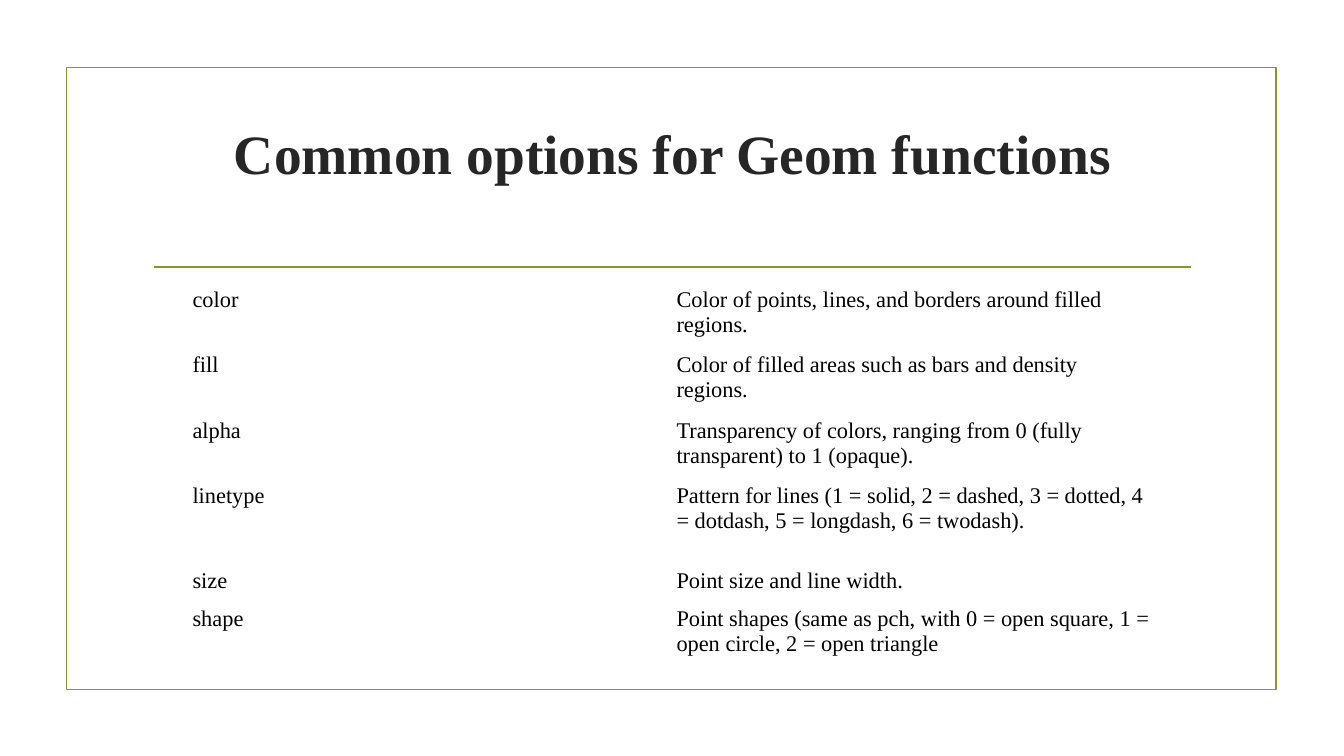
from pptx import Presentation
from pptx.dml.color import RGBColor
from pptx.enum.shapes import MSO_CONNECTOR, MSO_SHAPE
from pptx.enum.text import MSO_ANCHOR, PP_ALIGN
from pptx.oxml.ns import qn
from pptx.util import Inches, Pt
from lxml import etree

RECTANGLE = MSO_SHAPE.RECTANGLE
STRAIGHT = MSO_CONNECTOR.STRAIGHT
TOP = MSO_ANCHOR.TOP
CENTER = PP_ALIGN.CENTER
LEFT = PP_ALIGN.LEFT

# Content
TITLE = "Common options for Geom functions"
# option, description, row height in inches
OPTIONS = [
    ("color", "Color of points, lines, and borders around filled regions.", 0.65),
    ("fill", "Color of filled areas such as bars and density regions.", 0.65),
    ("alpha", "Transparency of colors, ranging from 0 (fully transparent) to 1 (opaque).", 0.65),
    ("linetype", "Pattern for lines (1 = solid, 2 = dashed, 3 = dotted, 4 = dotdash, "
                 "5 = longdash, 6 = twodash).", 0.84),
    ("size", "Point size and line width.", 0.38),
    ("shape", "Point shapes (same as pch, with 0 = open square, 1 = open circle, "
              "2 = open triangle", 0.65),
]

THEME = {
    "font": "Times New Roman",
    "accent": RGBColor(0x83, 0x99, 0x2A),
    "title": RGBColor(0x26, 0x26, 0x26),
    "body": RGBColor(0, 0, 0),
    "title_size": Pt(39.6),
    "body_size": Pt(16),
    "line_width": Pt(1.25),
}
COLUMN_WIDTH = 4.8
CELL_MARGIN = Inches(0.05)


def write(frame, text, size, color, align=LEFT, bold=False):
    paragraph = frame.paragraphs[0]
    paragraph.alignment = align
    run = paragraph.add_run()
    run.text = text
    run.font.name = THEME["font"]
    run.font.size = size
    run.font.bold = bold
    run.font.color.rgb = color


def style_line(line):
    line.color.rgb = THEME["accent"]
    line.width = THEME["line_width"]


presentation = Presentation()
presentation.slide_width = Inches(13.33)
presentation.slide_height = Inches(7.5)
slide = presentation.slides.add_slide(presentation.slide_layouts[6])

# Border and divider
border = slide.shapes.add_shape(RECTANGLE, Inches(0.66), Inches(0.67), Inches(12), Inches(6.17))
border.shadow.inherit = False
border.fill.background()
style_line(border.line)

divider = slide.shapes.add_connector(STRAIGHT, Inches(1.53), Inches(2.65), Inches(11.81), Inches(2.65))
style_line(divider.line)
etree.SubElement(divider._element.spPr, qn("a:effectLst"))

# Title
title = slide.shapes.add_textbox(Inches(1.42), Inches(1.07), Inches(10.5), Inches(1.43))
title.text_frame.word_wrap = True
title.text_frame.vertical_anchor = TOP
title.text_frame.margin_top = Inches(0.11)
write(title.text_frame, TITLE, THEME["title_size"], THEME["title"], CENTER, True)

# Options table
table_height = sum(height for _, _, height in OPTIONS)
table = slide.shapes.add_table(len(OPTIONS), 2, Inches(1.86), Inches(2.8),
                               Inches(2 * COLUMN_WIDTH), Inches(table_height)).table
table.first_row = False
table.horz_banding = False
# Plain table style: no borders, no fills
table._tbl.tblPr.find(qn("a:tableStyleId")).text = "{2D5ABB26-0587-4C30-8999-92F81FD0307C}"

for column in table.columns:
    column.width = Inches(COLUMN_WIDTH)
for row, (option, description, height) in zip(table.rows, OPTIONS):
    row.height = Inches(height)
    for cell, text in zip(row.cells, (option, description)):
        cell.fill.background()
        cell.vertical_anchor = TOP
        cell.margin_left = cell.margin_right = CELL_MARGIN
        cell.margin_top = cell.margin_bottom = CELL_MARGIN
        write(cell.text_frame, text, THEME["body_size"], THEME["body"])

presentation.save("out.pptx")
